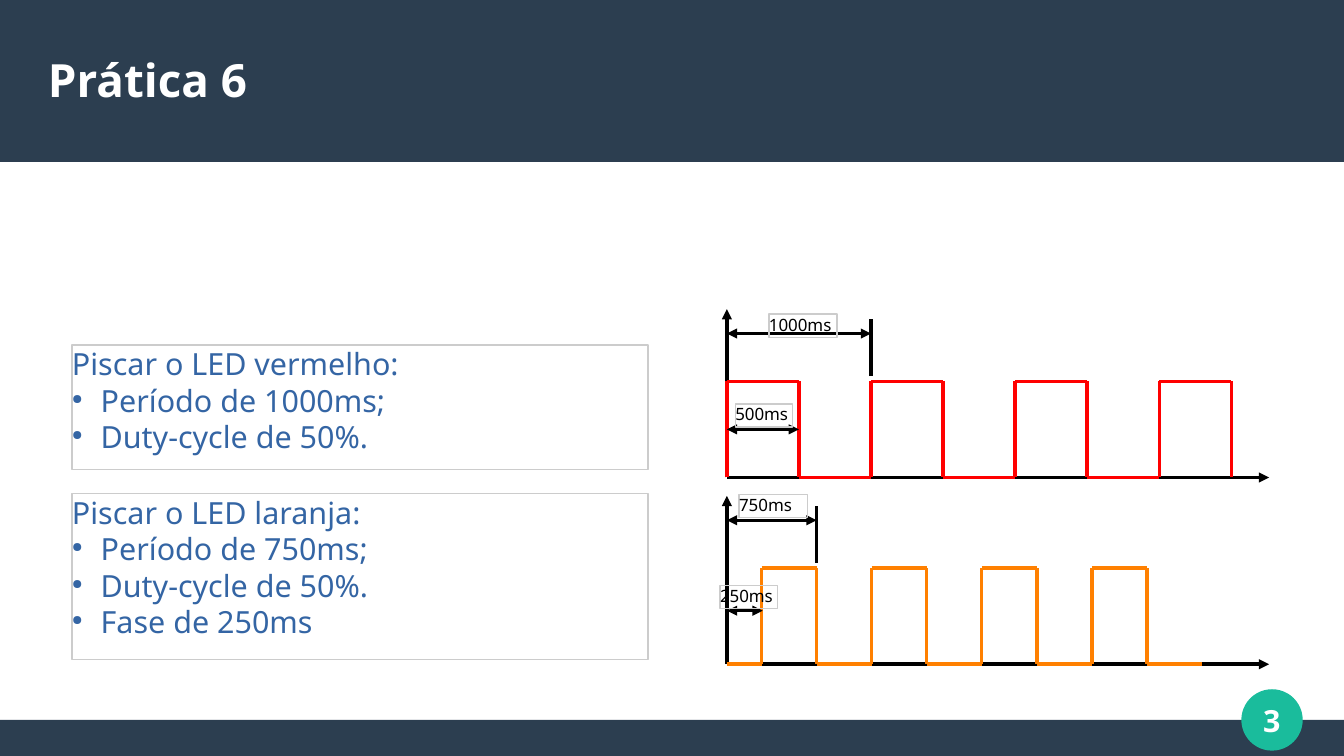
"""Builds the slide on two blinking LEDs with their timing charts."""
from itertools import pairwise

from lxml import etree
from pptx import Presentation
from pptx.dml.color import RGBColor
from pptx.enum.shapes import MSO_CONNECTOR, MSO_SHAPE
from pptx.enum.text import MSO_ANCHOR, MSO_AUTO_SIZE, PP_ALIGN
from pptx.oxml.ns import qn
from pptx.util import Pt

RECT, OVAL = MSO_SHAPE.RECTANGLE, MSO_SHAPE.OVAL
LINE = MSO_CONNECTOR.STRAIGHT
TOP, MIDDLE = MSO_ANCHOR.TOP, MSO_ANCHOR.MIDDLE
LEFT, CENTER = PP_ALIGN.LEFT, PP_ALIGN.CENTER
GROW = MSO_AUTO_SIZE.SHAPE_TO_FIT_TEXT

NAVY, TEAL, BLUE, GRAY = "2C3E50", "1ABC9C", "3465A4", "CCCCCC"
RED, ORANGE, BLACK, WHITE = "FF0000", "FF8000", "000000", "FFFFFF"


def color(code):
    return RGBColor.from_string(code)


class Deck:
    """Holds the style and the current slide."""

    font = "Noto Sans"

    def __init__(self, wide, high):
        self.prs = Presentation()
        self.prs.slide_width, self.prs.slide_height = Pt(wide), Pt(high)
        self.slide = self.prs.slides.add_slide(self.prs.slide_layouts[6])

    def shape(self, kind, box, fill=None, edge=None, width=0):
        item = self.slide.shapes.add_shape(kind, *map(Pt, box))
        item.shadow.inherit = False
        if fill:
            item.fill.solid()
            item.fill.fore_color.rgb = color(fill)
        else:
            item.fill.background()
        if edge:
            item.line.color.rgb = color(edge)
            item.line.width = Pt(width)
        else:
            item.line.fill.background()
        return item

    def words(self, item, lines, size, tint, bold=False, align=LEFT, anchor=TOP, wrap=True):
        frame = item.text_frame
        frame.margin_left = frame.margin_right = 0
        frame.margin_top = frame.margin_bottom = 0
        frame.vertical_anchor = anchor
        frame.word_wrap = wrap
        for i, text in enumerate(lines):
            para = frame.add_paragraph() if i else frame.paragraphs[0]
            para.alignment = align
            run = para.add_run()
            run.text = text
            run.font.name, run.font.size, run.font.bold = self.font, Pt(size), bold
            run.font.color.rgb = color(tint)
        return frame

    def text(self, box, line, size, align=LEFT):
        item = self.slide.shapes.add_textbox(*map(Pt, box))
        self.words(item, [line], size, WHITE, True, align, MIDDLE)

    def panel(self, top, high, lines):
        item = self.shape(RECT, (42.5, top, 340.2, high), edge=GRAY)
        frame = self.words(item, lines, 18, BLUE)
        frame.auto_size = GROW
        for para in frame.paragraphs[1:]:
            self.bullet(para)

    def bullet(self, para):
        props = para._p.get_or_add_pPr()
        props.set("marL", str(Pt(17)))
        props.set("indent", str(Pt(-17)))
        tint = etree.SubElement(props, qn("a:buClr"))
        etree.SubElement(tint, qn("a:srgbClr"), val=BLUE)
        etree.SubElement(props, qn("a:buSzPct"), val="45000")
        etree.SubElement(props, qn("a:buChar"), char="●")

    def label(self, left, top, wide, line):
        item = self.shape(RECT, (left, top, wide, 13.7), edge=GRAY)
        self.words(item, [line], 10, BLACK, wrap=False).auto_size = GROW

    def line(self, start, end, tint=BLACK, tips=()):
        item = self.slide.shapes.add_connector(LINE, *map(Pt, (*start, *end)))
        item.line.color.rgb = color(tint)
        item.line.width = Pt(0)
        for tip in tips:
            etree.SubElement(item.get_or_add_ln(), qn("a:" + tip), type="triangle")
        etree.SubElement(item._element.spPr, qn("a:effectLst"))

    def axes(self, left, base):
        for end in ((left, base - 99.4), (749.5, base)):
            self.line((left, base), end, tips=["tailEnd"])

    def wave(self, left, base, first, step, end, tint):
        dots, level = [(left, base)], base
        for i in range(8):
            edge = first + i * step
            dots.append((edge, level))
            level = base - 56.7 if level == base else base
            dots.append((edge, level))
        dots.append((end, base))
        for start, stop in pairwise(dots):
            if start != stop:
                self.line(start, stop, tint)

    def span(self, left, right, high):
        self.line((left, high), (right, high), tips=["headEnd", "tailEnd"])

    def guide(self, left, base):
        self.line((left, base - 59.8), (left, base - 93.4))


def main():
    deck = Deck(793.7, 446.5)
    deck.shape(RECT, (0, 425.2, 793.7, 21.3), NAVY)
    deck.shape(RECT, (0, 0, 793.7, 95.7), NAVY)
    deck.shape(OVAL, (733.5, 407.5, 35.4, 35.4), TEAL, TEAL, 0.85)
    deck.text((722.8, 404, 56.7, 42.5), "3", 18, CENTER)
    deck.text((28.3, 18.2, 737, 56.7), "Prática 6", 27)
    deck.panel(203.8, 73.4, [
        "Piscar o LED vermelho:", "Período de 1000ms;", "Duty-cycle de 50%."])
    deck.panel(291.6, 97.9, [
        "Piscar o LED laranja:", "Período de 750ms;", "Duty-cycle de 50%.",
        "Fase de 250ms"])

    left, base, step = 429.3, 282, 42.55
    deck.axes(left, base)
    deck.wave(left, base, left, step, left + 7 * step, RED)
    deck.guide(left + 2 * step, base)
    deck.span(left, left + 2 * step, base - 85)
    deck.label(454.1, 185.5, 40.3, "1000ms")
    deck.span(left, left + step, base - 28.4)
    deck.label(434.2, 238.6, 34, "500ms")

    base, first, step = 392.3, 449.8, 32.5
    deck.axes(left, base)
    deck.wave(left, base, first, step, first + 8 * step, ORANGE)
    deck.guide(first + step, base)
    deck.span(left, first + step, base - 85)
    deck.label(436.5, 292.2, 40.3, "750ms")
    deck.span(left, first + 0.6, base - 31.6)
    deck.label(425.2, 345.8, 34, "250ms")
    deck.prs.save("out.pptx")


if __name__ == "__main__":
    main()
